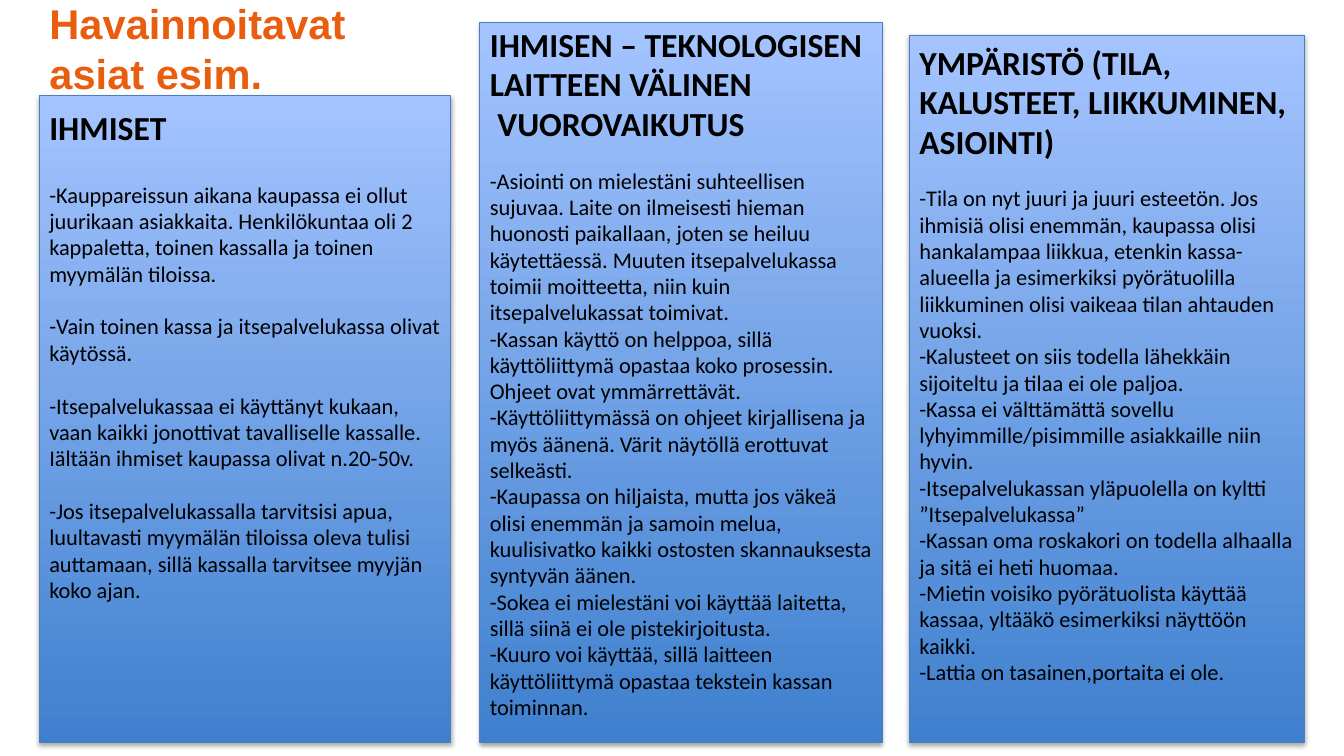
from lxml import etree
from pptx import Presentation
from pptx.dml.color import RGBColor
from pptx.enum.shapes import MSO_SHAPE
from pptx.enum.text import MSO_ANCHOR, PP_ALIGN
from pptx.oxml.ns import qn
from pptx.util import Inches, Pt

RECTANGLE = MSO_SHAPE.RECTANGLE
TOP, BOTTOM = MSO_ANCHOR.TOP, MSO_ANCHOR.BOTTOM
LEFT = PP_ALIGN.LEFT

WIDTH, HEIGHT = Inches(13.33), Inches(7.5)
TITLE_ONLY = 5
COLUMN_BOTTOM = 98.2

COLUMNS = [
    {
        "left": 2.93, "top": 12.67, "width": 30.61,
        "inset": 0.13, "heading_gap": 24, "item_gap": 19,
        "heading": ["IHMISET"],
        "items": [
            "-Kauppareissun aikana kaupassa ei ollut juurikaan asiakkaita. Henkilökuntaa oli 2 kappaletta, toinen kassalla ja toinen myymälän tiloissa.",
            "-Vain toinen kassa ja itsepalvelukassa olivat käytössä.",
            "-Itsepalvelukassaa ei käyttänyt kukaan, vaan kaikki jonottivat tavalliselle kassalle. Iältään ihmiset kaupassa olivat n.20-50v.",
            "-Jos itsepalvelukassalla tarvitsisi apua, luultavasti myymälän tiloissa oleva tulisi auttamaan, sillä kassalla tarvitsee myyjän koko ajan.",
        ],
    },
    {
        "left": 35.71, "top": 3.0, "width": 29.93,
        "inset": 0.03, "heading_gap": 17, "item_gap": 0,
        "heading": ["IHMISEN – TEKNOLOGISEN", "LAITTEEN VÄLINEN", " VUOROVAIKUTUS"],
        "items": [
            "-Asiointi on mielestäni suhteellisen sujuvaa. Laite on ilmeisesti hieman huonosti paikallaan, joten se heiluu käytettäessä. Muuten itsepalvelukassa toimii moitteetta, niin kuin itsepalvelukassat toimivat.",
            "-Kassan käyttö on helppoa, sillä käyttöliittymä opastaa koko prosessin. Ohjeet ovat ymmärrettävät.",
            "-Käyttöliittymässä on ohjeet kirjallisena ja myös äänenä. Värit näytöllä erottuvat selkeästi.",
            "-Kaupassa on hiljaista, mutta jos väkeä olisi enemmän ja samoin melua, kuulisivatko kaikki ostosten skannauksesta syntyvän äänen.",
            "-Sokea ei mielestäni voi käyttää laitetta, sillä siinä ei ole pistekirjoitusta.",
            "-Kuuro voi käyttää, sillä laitteen käyttöliittymä opastaa tekstein kassan toiminnan.",
        ],
    },
    {
        "left": 67.67, "top": 4.67, "width": 29.41,
        "inset": 0.08, "heading_gap": 17, "item_gap": 0,
        "heading": ["YMPÄRISTÖ (TILA, KALUSTEET, LIIKKUMINEN, ASIOINTI)"],
        "items": [
            "-Tila on nyt juuri ja juuri esteetön. Jos ihmisiä olisi enemmän, kaupassa olisi hankalampaa liikkua, etenkin kassa-alueella ja esimerkiksi pyörätuolilla liikkuminen olisi vaikeaa tilan ahtauden vuoksi.",
            "-Kalusteet on siis todella lähekkäin sijoiteltu ja tilaa ei ole paljoa.",
            "-Kassa ei välttämättä sovellu lyhyimmille/pisimmille asiakkaille niin hyvin.",
            "-Itsepalvelukassan yläpuolella on kyltti ”Itsepalvelukassa”",
            "-Kassan oma roskakori on todella alhaalla ja sitä ei heti huomaa.",
            "-Mietin voisiko pyörätuolista käyttää kassaa, yltääkö esimerkiksi näyttöön kaikki.",
            "-Lattia on tasainen,portaita ei ole.",
        ],
    },
]


def color(value):
    return RGBColor.from_string(value)


def across(percent):
    return round(WIDTH * percent / 100)


def down(percent):
    return round(HEIGHT * percent / 100)


def write(para, text, size=16, font="Calibri", fill="000000", bold=False,
          before=0, spacing=0.98):
    para.text = text
    para.alignment = LEFT
    para.line_spacing = spacing
    para.space_before = Pt(before)
    for span in para.runs:
        span.font.size = Pt(size)
        span.font.name = font
        span.font.bold = bold
        span.font.color.rgb = color(fill)


def add_shadow(box):
    box.shadow.inherit = False
    effects = box._element.spPr.find(qn("a:effectLst"))
    shadow = etree.SubElement(effects, qn("a:outerShdw"), blurRad=str(Pt(3.1)),
                              dist=str(Pt(1.8)), dir="5400000", rotWithShape="0")
    shade = etree.SubElement(shadow, qn("a:srgbClr"), val="000000")
    etree.SubElement(shade, qn("a:alpha"), val="35000")


def add_panel(page, left, top, width, inset):
    box = page.shapes.add_shape(RECTANGLE, across(left), down(top),
                                across(width), down(COLUMN_BOTTOM - top))
    box.fill.gradient()
    box.fill.gradient_angle = 90
    for stop, position, value in zip(box.fill.gradient_stops, (0, 1), ("3F80CE", "A4C4FF")):
        stop.position = position
        stop.color.rgb = color(value)
    box.line.color.rgb = color("4B7EBC")
    box.line.width = Pt(0.75)
    add_shadow(box)
    frame = box.text_frame
    frame.word_wrap = True
    frame.vertical_anchor = TOP
    frame.margin_top = Inches(inset)
    return frame


def add_column(page, heading, items, heading_gap, item_gap, **place):
    frame = add_panel(page, **place)
    for index, text in enumerate(heading):
        para = frame.add_paragraph() if index else frame.paragraphs[0]
        write(para, text, size=24, bold=True)
    for index, text in enumerate(items):
        write(frame.add_paragraph(), text, before=item_gap if index else heading_gap)


def set_title(page, text):
    title = page.shapes.title
    title.left, title.top = across(2.93), down(4.67)
    title.width, title.height = across(54.16), down(14.8)
    frame = title.text_frame
    frame.word_wrap = True
    frame.vertical_anchor = BOTTOM
    frame.margin_bottom = Inches(0.49)
    write(frame.paragraphs[0], text, size=29.7, font="Arial", fill="E95D0F",
          bold=True, spacing=Pt(35.7))


def main():
    deck = Presentation()
    deck.slide_width, deck.slide_height = WIDTH, HEIGHT
    page = deck.slides.add_slide(deck.slide_layouts[TITLE_ONLY])
    set_title(page, "Havainnoitavat \vasiat esim.")
    for column in COLUMNS:
        add_column(page, **column)
    deck.save("out.pptx")


if __name__ == "__main__":
    main()
